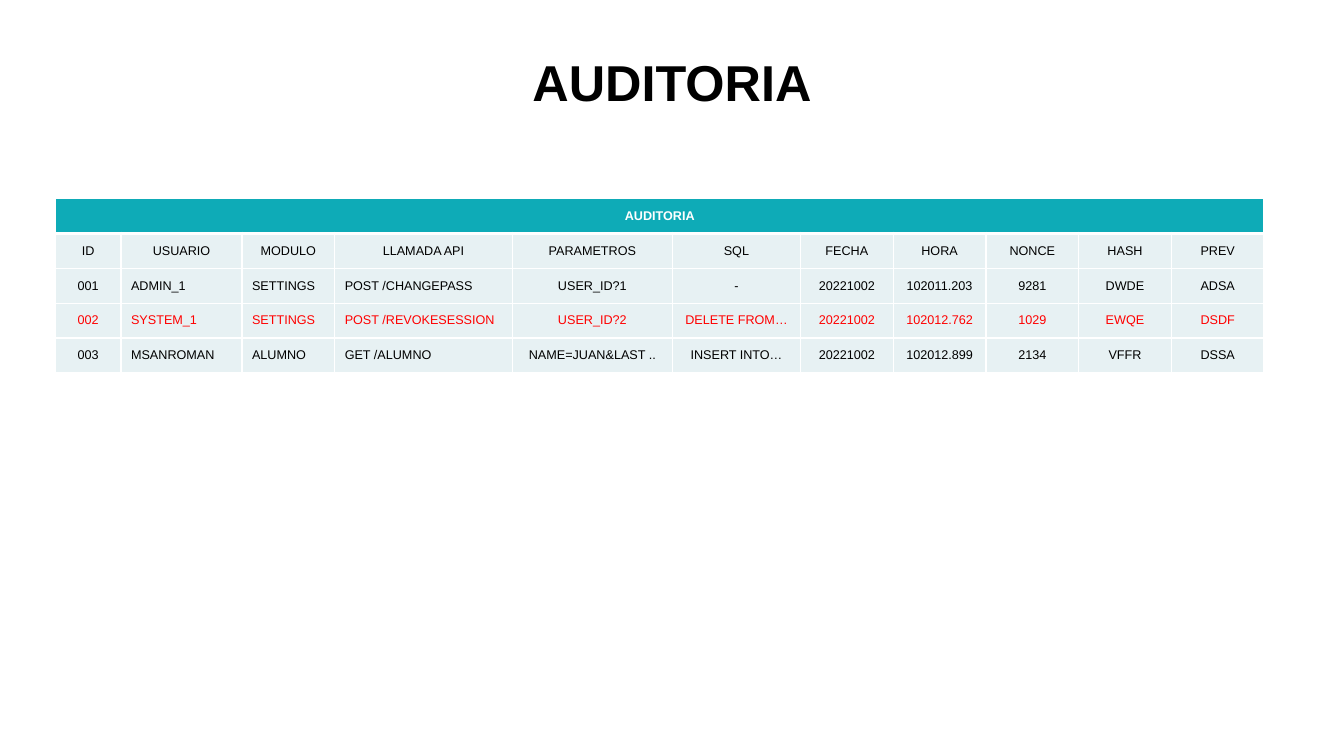
from pptx import Presentation
from pptx.dml.color import RGBColor
from pptx.enum.text import MSO_ANCHOR as Anchor, PP_ALIGN as Align
from pptx.oxml.ns import qn
from pptx.util import Inches, Pt
from lxml.etree import SubElement

FONT = "Arial"
COLORS = {
    "black": "000000",
    "white": "FFFFFF",
    "teal": "0EABB7",
    "pale": "E7F1F3",
    "red": "FF0000",
}

COLUMN_WIDTHS = [0.65, 1.2, 0.92, 1.76, 1.59, 1.27] + [0.92] * 5
LEFT_COLUMNS = (1, 2, 3)
HEADINGS = ["ID", "USUARIO", "MODULO", "LLAMADA API", "PARAMETROS", "SQL",
            "FECHA", "HORA", "NONCE", "HASH", "PREV"]
RECORDS = [
    ["001", "ADMIN_1", "SETTINGS", "POST /CHANGEPASS", "USER_ID?1", "-",
     "20221002", "102011.203", "9281", "DWDE", "ADSA"],
    ["002", "SYSTEM_1", "SETTINGS", "POST /REVOKESESSION", "USER_ID?2", "DELETE FROM…",
     "20221002", "102012.762", "1029", "EWQE", "DSDF"],
    ["003", "MSANROMAN", "ALUMNO", "GET /ALUMNO", "NAME=JUAN&LAST ..", "INSERT INTO…",
     "20221002", "102012.899", "2134", "VFFR", "DSSA"],
]
FLAGGED_ID = "002"


def rgb(name):
    return RGBColor.from_string(COLORS[name])


def write(frame, text, size, color, bold=False, align=Align.CENTER):
    para = frame.paragraphs[0]
    para.alignment = align
    span = para.add_run()
    span.text = text
    span.font.name = FONT
    span.font.size = Pt(size)
    span.font.bold = bold
    span.font.color.rgb = rgb(color)
    return para


def set_borders(cell, bottom=1):
    """Draw white borders; they must precede the fill in the cell properties."""
    props = cell._tc.get_or_add_tcPr()
    for side, width in (("L", 1), ("R", 1), ("T", 1), ("B", bottom)):
        line = SubElement(props, qn(f"a:ln{side}"), w=str(Pt(width)))
        fill = SubElement(line, qn("a:solidFill"))
        SubElement(fill, qn("a:srgbClr"), val=COLORS["white"])


def style_cell(cell, fill, bottom=1):
    set_borders(cell, bottom)
    cell.fill.solid()
    cell.fill.fore_color.rgb = rgb(fill)
    cell.vertical_anchor = Anchor.MIDDLE


def add_title(page, text):
    title = page.shapes.title
    title.left, title.top = Inches(0.25), Inches(0.5)
    title.width, title.height = Inches(12.83), Inches(0.69)
    title.text_frame.vertical_anchor = Anchor.MIDDLE
    para = write(title.text_frame, text, 36, "black", bold=True)
    para.line_spacing = 0.9


def add_audit_table(page):
    rows = [HEADINGS] + RECORDS
    frame = page.shapes.add_table(len(rows) + 1, len(HEADINGS), Inches(0.55),
                                  Inches(1.97), Inches(12.01), Inches(1.73))
    table = frame.table
    for column, width in zip(table.columns, COLUMN_WIDTHS):
        column.width = Inches(width)

    # Banner across all columns
    for cell in table.rows[0].cells:
        style_cell(cell, "teal", bottom=3)
    banner = table.cell(0, 0)
    banner.merge(table.cell(0, len(HEADINGS) - 1))
    write(banner.text_frame, "AUDITORIA", 9, "white", bold=True)

    # Headings and records
    for r, values in enumerate(rows, start=1):
        color = "red" if values[0] == FLAGGED_ID else "black"
        for c, value in enumerate(values):
            cell = table.cell(r, c)
            style_cell(cell, "pale")
            is_left = values is not HEADINGS and c in LEFT_COLUMNS
            write(cell.text_frame, value, 9, color,
                  align=Align.LEFT if is_left else Align.CENTER)
    # The banner's thick rule is shared with the headings below it
    for cell in table.rows[1].cells:
        cell._tc.tcPr.find(qn("a:lnT")).set("w", str(Pt(3)))


def main():
    deck = Presentation()
    deck.slide_width, deck.slide_height = Inches(13.33), Inches(7.5)
    page = deck.slides.add_slide(deck.slide_layouts[5])
    add_title(page, "AUDITORIA")
    add_audit_table(page)
    deck.save("out.pptx")


if __name__ == "__main__":
    main()
